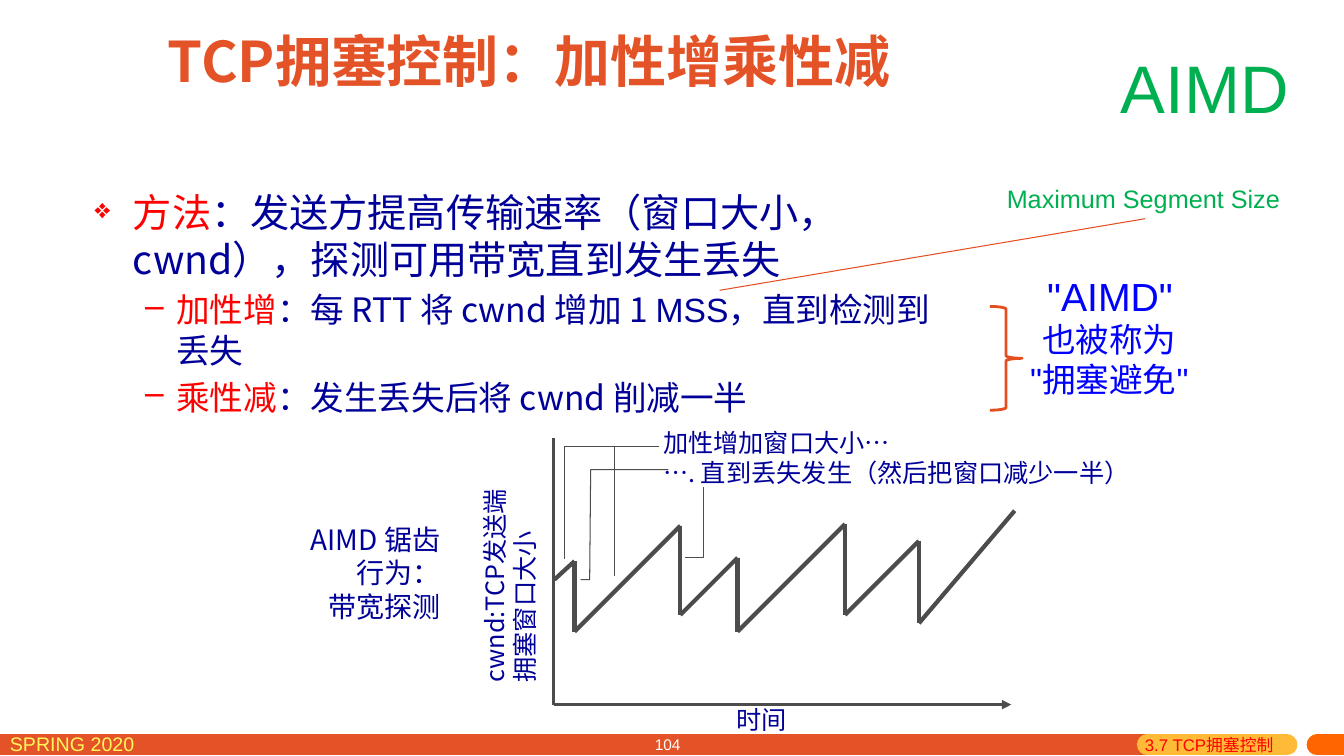
from lxml import etree
from pptx import Presentation, util as u
from pptx.dml.color import RGBColor
from pptx.enum import shapes, text
from pptx.oxml.ns import qn

COLORS = {
    "orange": "E45327", "amber": "FFBA37", "tail": "FF6600", "yellow": "FFF65C",
    "white": "FFFFFF", "red": "FF0000", "navy": "000099", "blue": "0000FF",
    "green": "00B050", "gray": "4C4C4C", "brace": "E44F22",
}
CJK, LATIN = "Noto Sans CJK SC", "Arial"
COLS, ROWS = 80, 45
LEFT, CENTER, RIGHT = text.PP_ALIGN.LEFT, text.PP_ALIGN.CENTER, text.PP_ALIGN.RIGHT


class Deck:
    """Style and current slide; lengths are columns and rows of an 80 by 45 grid."""

    def __init__(self):
        self.prs = Presentation()
        self.prs.slide_width, self.prs.slide_height = u.Inches(13.33), u.Inches(7.5)
        self.s = self.prs.slides.add_slide(self.prs.slide_layouts[5])

    def x(self, cols):
        return round(self.prs.slide_width * cols / COLS)

    def y(self, rows):
        return round(self.prs.slide_height * rows / ROWS)

    def box(self, left, top, width, height):
        return self.x(left), self.y(top), self.x(width), self.y(height)

    def color(self, name):
        return RGBColor.from_string(COLORS[name])

    def stroke(self, sp, color, width):
        sp.line.color.rgb = self.color(color)
        sp.line.width = u.Pt(width)

    def run(self, p, words, size, color, font=CJK, bold=False):
        r = p.add_run()
        r.text = words
        r.font.size, r.font.bold, r.font.name = u.Pt(size), bold, font
        r.font.color.rgb = self.color(color)
        ea = etree.SubElement(r.font._element, qn("a:ea"))
        ea.set("typeface", CJK)

    def fill_text(self, tf, lines, size, color, font=CJK, align=LEFT, wrap=False):
        tf.word_wrap = wrap
        for i, line in enumerate(lines):
            p = tf.paragraphs[0] if i == 0 else tf.add_paragraph()
            p.alignment = align
            self.run(p, line, size, color, font)

    def label(self, at, lines, size, color, **style):
        sp = self.s.shapes.add_textbox(*self.box(*at))
        self.fill_text(sp.text_frame, lines, size, color, **style)
        return sp

    def title(self, at, words, size, color):
        sp = self.s.shapes.title
        sp.left, sp.top, sp.width, sp.height = self.box(*at)
        tf = sp.text_frame
        tf.auto_size, tf.word_wrap = text.MSO_AUTO_SIZE.NONE, True
        tf.vertical_anchor = text.MSO_ANCHOR.MIDDLE
        tf.paragraphs[0].alignment = CENTER
        self.run(tf.paragraphs[0], words, size, color, bold=True)

    def bullets(self, at, items):
        tf = self.s.shapes.add_textbox(*self.box(*at)).text_frame
        tf.word_wrap = True
        for i, (level, size, runs) in enumerate(items):
            p = tf.paragraphs[0] if i == 0 else tf.add_paragraph()
            p.level = level
            if i:
                p.space_before = u.Pt(size * 0.2)
            char, scale, margin, hang = [("❖", 70, 0.38, 0.38), ("–", 100, 0.81, 0.31)][level]
            pPr = p._p.get_or_add_pPr()
            pPr.set("marL", str(u.Inches(margin)))
            pPr.set("indent", str(-u.Inches(hang)))
            clr = etree.SubElement(pPr, qn("a:buClr"))
            etree.SubElement(clr, qn("a:srgbClr")).set("val", COLORS["red"])
            etree.SubElement(pPr, qn("a:buSzPct")).set("val", str(scale * 1000))
            etree.SubElement(pPr, qn("a:buChar")).set("char", char)
            for words, color, font in runs:
                self.run(p, words, size, color, font)

    def line(self, start, end, color, width, arrow=False, cap=None):
        (x1, y1), (x2, y2) = start, end
        c = self.s.shapes.add_connector(
            shapes.MSO_CONNECTOR.STRAIGHT, self.x(x1), self.y(y1), self.x(x2), self.y(y2))
        self.stroke(c, color, width)
        ln = c._element.spPr.find(qn("a:ln"))
        if cap:
            ln.set("cap", cap)
        if arrow:
            etree.SubElement(ln, qn("a:tailEnd")).set("type", "triangle")
        etree.SubElement(c._element.spPr, qn("a:effectLst"))

    def path_line(self, points, color, width):
        pts = [(self.x(a), self.y(b)) for a, b in points]
        fb = self.s.shapes.build_freeform(*pts[0])
        fb.add_line_segments(pts[1:], close=False)
        sp = fb.convert_to_shape()
        sp.shadow.inherit = False
        sp.fill.background()
        self.stroke(sp, color, width)

    def shape(self, kind, at):
        sp = self.s.shapes.add_shape(kind, *self.box(*at))
        sp.shadow.inherit = False
        return sp


def main():
    d = Deck()

    # Footer band
    for start, end, color in [(0, 68.3, "orange"), (68.3, 76.6, "amber"), (78.4, 80, "tail")]:
        d.line((start, 44.34), (end, 44.34), color, 15, cap="rnd")
    d.label((0, 43.3, 13.7, 1.9), ["SPRING 2020"], 14, "yellow", font=LATIN)
    number = d.label((25.56, 43.92, 15.54, 1.08), ["104"], 11, "white",
                     font=LATIN, align=RIGHT, wrap=True).text_frame
    number.vertical_anchor = text.MSO_ANCHOR.MIDDLE
    number.margin_top = 0
    d.label((67.56, 43.44, 12.4, 1.56), ["3.7 TCP拥塞控制"], 12, "red", font=LATIN)

    # Title and method
    d.title((9.3, 0.84, 44.4, 5.46), "TCP拥塞控制：加性增乘性减", 40, "orange")
    d.bullets((5.04, 10.92, 51, 15.84), [
        (0, 28, [("方法", "red", CJK),
                 ("：发送方提高传输速率（窗口大小，cwnd），探测可用带宽直到发生丢失", "navy", CJK)]),
        (1, 24, [("加性增", "red", CJK), ("：每 RTT 将 cwnd 增加 1 ", "navy", CJK),
                 ("MSS", "navy", LATIN), ("，直到检测到丢失", "navy", CJK)]),
        (1, 24, [("乘性减", "red", CJK), ("：发生丢失后将 cwnd 削减一半", "navy", CJK)]),
    ])

    # Chart labels
    axis = d.shape(shapes.MSO_SHAPE.RECTANGLE, (23.76, 32.52, 13.14, 4.26))
    axis.rotation = 270
    axis.fill.solid()
    axis.fill.fore_color.rgb = d.color("white")
    axis.line.fill.background()
    d.fill_text(axis.text_frame, ["cwnd:TCP发送端", "拥塞窗口大小"], 18, "navy")
    d.label((17.2, 30.78, 9.6, 6.66), ["AIMD 锯齿", "行为：", "带宽探测"], 20, "navy", align=RIGHT)
    d.label((38.88, 25.14, 29.04, 4.26),
            ["加性增加窗口大小…", "…. 直到丢失发生（然后把窗口减少一半）"], 18, "navy", wrap=True)
    d.label((43.26, 41.64, 4.26, 2.4), ["时间"], 18, "navy")

    # Axes and sawtooth
    d.line((33, 41.94), (60.2, 41.94), "gray", 2.25, arrow=True)
    d.line((32.94, 26.1), (32.94, 41.94), "gray", 2.25)
    sawtooth = [(33, 34.5), (34.2, 33.4), (34.2, 37.6), (40.5, 31.3), (40.5, 36.6), (43.9, 33.2),
                (43.9, 37.6), (50.3, 31.2), (50.3, 36.6), (54.7, 32.2), (54.7, 37.1), (60.4, 30.4)]
    for start, end in zip(sawtooth, sawtooth[1:]):
        d.line(start, end, "gray", 3)

    # Leaders from the labels to the curve
    for leader in [
        [(39.24, 26.58), (33.6, 26.58), (33.6, 33.3)],
        [(39.78, 27.96), (35.16, 27.96), (35.1, 34.5), (34.56, 34.5)],
        [(39.24, 26.58), (36.6, 26.58), (36.6, 34.26)],
        [(41.88, 28.98), (41.88, 33.18), (40.8, 33.18)],
    ]:
        d.path_line(leader, "gray", 0.75)

    # AIMD notes
    d.label((66.12, 2.46, 11.28, 5.46), ["AIMD"], 48, "green", font=LATIN)
    d.label((59.34, 10.62, 17.64, 2.4), ["Maximum Segment Size"], 18, "green", font=LATIN)
    d.line((42.84, 17.28), (68.16, 13.02), "brace", 0.75)
    brace = d.shape(shapes.MSO_SHAPE.RIGHT_BRACE, (58.92, 18.24, 1.92, 6.18))
    brace.fill.background()
    d.stroke(brace, "brace", 2)
    d.label((61.74, 15.9, 8.76, 3.42), ['"AIMD"'], 28, "blue", font=LATIN)
    d.label((60.42, 18.66, 11.22, 5.46), ["也被称为", '"拥塞避免"'], 24, "blue",
            font=LATIN, align=CENTER, wrap=True)

    d.prs.save("out.pptx")


if __name__ == "__main__":
    main()
